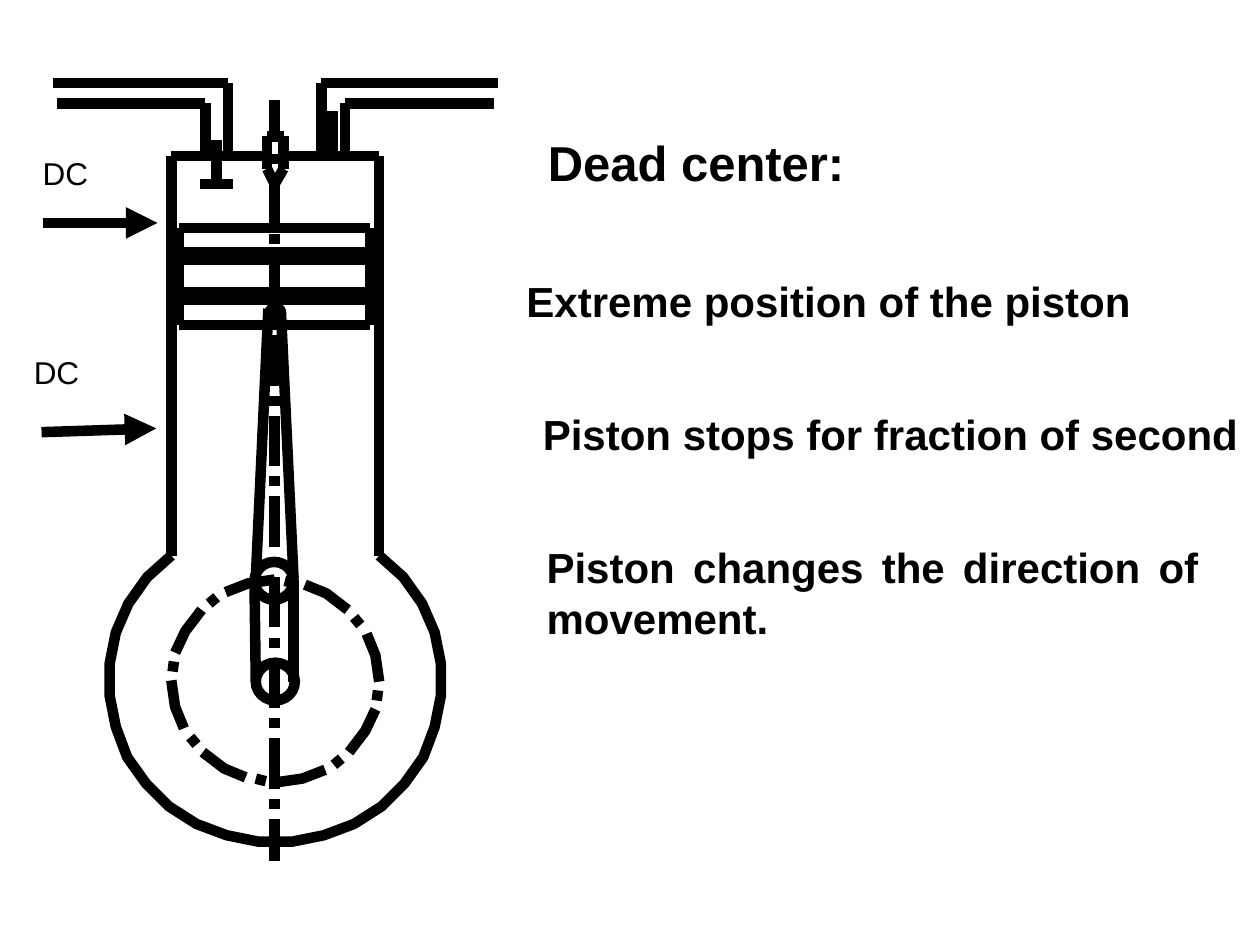
from dataclasses import dataclass
from itertools import pairwise

from lxml import etree
from pptx import Presentation
from pptx.dml.color import RGBColor
from pptx.enum import shapes, text
from pptx.oxml import ns
from pptx.util import Inches, Pt

BLACK = RGBColor(0x00, 0x00, 0x00)
STROKE = Pt(6)
AXIS_X = 2.185
CRANK_Y = 5.405
DASH_STEP = 0.64

Point = tuple[float, float]


@dataclass(frozen=True)
class Segment:
    x1: float
    y1: float
    x2: float
    y2: float
    arrow: bool = False


@dataclass(frozen=True)
class Circle:
    x: float
    y: float
    w: float
    h: float


@dataclass(frozen=True)
class Label:
    x: float
    y: float
    w: float
    h: float
    words: str
    size: int = 24
    bold: bool = True
    align: text.PP_ALIGN = text.PP_ALIGN.LEFT


CASE_LEFT = [
    (1.36, 4.41), (1.17, 4.58), (1.02, 4.79), (0.92, 5.02), (0.87, 5.27),
    (0.87, 5.52), (0.92, 5.77), (1.01, 6.01), (1.16, 6.22), (1.34, 6.4),
    (1.56, 6.54), (1.8, 6.63), (2.05, 6.68),
]
ORBIT_TOP = [
    [(3.01, 5.41), (2.98, 5.2), (2.91, 5.03)],
    [(2.86, 4.96), (2.81, 4.9)],
    [(2.76, 4.84), (2.59, 4.71), (2.42, 4.64)],
    [(2.34, 4.63), (2.26, 4.61)],
    [(2.18, 4.6), (1.97, 4.63), (1.79, 4.7)],
    [(1.72, 4.74), (1.66, 4.79)],
    [(1.6, 4.84), (1.47, 5.01), (1.39, 5.18)],
    [(1.38, 5.25), (1.37, 5.33)],
]
AXIS_DASHES = (
    [(6.83, 6.5), (1.13, 0.79)]
    + [(6.42 - i * DASH_STEP, 6.34 - i * DASH_STEP) for i in range(9)]
    + [(6.26 - i * DASH_STEP, 5.86 - i * DASH_STEP) for i in range(8)]
)
HEAD_RUNS = [(1.36, 1.63, 1.81, 2.12), (2.25, 2.55, 2.74, 3.01)]
PISTON_EDGES = [1.81, 2.58]
RING_EDGES = [2, 2.06, 2.32, 2.38]
SKIRT_SPANS = [(2, 1.81), (2.32, 2.06), (2.58, 2.38)]

ROD_AND_CRANK = [
    Segment(2.03, 4.59, 2.13, 2.45),
    Segment(2.33, 4.59, 2.23, 2.48),
    Segment(2.33, 5.41, 2.33, 4.6),
    Segment(2.03, 5.41, 2.02, 4.62),
]
PINS = [
    Circle(2.03, 5.26, 0.31, 0.3),
    Circle(2.02, 4.46, 0.31, 0.3),
    Circle(2.14, 2.44, 0.09, 0.08),
]
VALVES = [
    Segment(1.59, 1.46, 1.85, 1.46),
    Segment(1.72, 1.46, 1.72, 1.11),
    Segment(2.64, 1.24, 2.64, 0.88),
]
INJECTOR = [
    Segment(2.25, 1.34, 2.25, 1.08),
    Segment(2.12, 1.34, 2.12, 1.08),
    Segment(2.12, 1.34, 2.18, 1.46),
    Segment(2.18, 1.46, 2.25, 1.34),
    Segment(2.12, 1.08, 2.25, 1.08),
]
PORTS = [
    Segment(1.63, 1.24, 1.63, 0.82),
    Segment(1.63, 0.82, 0.45, 0.82),
    Segment(1.81, 1.24, 1.81, 0.66),
    Segment(1.81, 0.66, 0.42, 0.66),
    Segment(2.55, 0.66, 3.95, 0.66),
    Segment(2.74, 0.82, 3.92, 0.82),
    Segment(2.74, 1.24, 2.74, 0.82),
    Segment(2.55, 1.24, 2.55, 0.66),
]
ARROWS = [
    Segment(0.34, 1.77, 1.25, 1.77, arrow=True),
    Segment(0.33, 3.43, 1.24, 3.4, arrow=True),
]
LABELS = [
    Label(4.25, 1, 2.69, 0.57, "Dead center:", size=28),
    Label(4.08, 2.14, 5.88, 0.5, "Extreme position of the piston"),
    Label(4.21, 3.19, 5.79, 0.5, "Piston stops for fraction of second",
          align=text.PP_ALIGN.JUSTIFY),
    Label(4.24, 4.25, 5.37, 0.91, "Piston changes the direction of movement.",
          align=text.PP_ALIGN.JUSTIFY),
    Label(0.24, 1.17, 0.84, 0.63, "DC", size=18, bold=False),
    Label(0.17, 2.75, 0.84, 0.63, "DC", size=18, bold=False),
]


def style_line(sp) -> None:
    sp.line.color.rgb = BLACK
    sp.line.width = STROKE


def draw_segment(s, seg: Segment) -> None:
    ends = [Inches(v) for v in (seg.x1, seg.y1, seg.x2, seg.y2)]
    sp = s.shapes.add_connector(shapes.MSO_CONNECTOR.STRAIGHT, *ends)
    style_line(sp)
    if seg.arrow:
        tail = etree.SubElement(sp.line._get_or_add_ln(), ns.qn("a:tailEnd"))
        tail.set("type", "triangle")
    etree.SubElement(sp._element.spPr, ns.qn("a:effectLst"))


def draw_polyline(s, points: list[Point]) -> None:
    first, *rest = [(Inches(x), Inches(y)) for x, y in points]
    builder = s.shapes.build_freeform(*first)
    builder.add_line_segments(rest, close=False)
    sp = builder.convert_to_shape()
    sp.shadow.inherit = False
    sp.fill.background()
    style_line(sp)


def draw_circle(s, c: Circle) -> None:
    box = [Inches(v) for v in (c.x, c.y, c.w, c.h)]
    sp = s.shapes.add_shape(shapes.MSO_SHAPE.OVAL, *box)
    sp.shadow.inherit = False
    sp.fill.background()
    style_line(sp)


def draw_label(s, label: Label) -> None:
    box = [Inches(v) for v in (label.x, label.y, label.w, label.h)]
    tf = s.shapes.add_textbox(*box).text_frame
    tf.word_wrap = True
    p = tf.paragraphs[0]
    p.text = label.words
    p.alignment = label.align
    p.font.name = "Arial"
    p.font.size = Pt(label.size)
    p.font.bold = label.bold
    p.font.color.rgb = BLACK


def engine_segments() -> list[Segment]:
    axis = [Segment(2.18, a, 2.18, b) for a, b in AXIS_DASHES]
    walls = [Segment(x, 4.41, x, 1.24) for x in (1.36, 3.01)]
    head = [Segment(a, 1.24, b, 1.24) for run in HEAD_RUNS for a, b in pairwise(run)]
    piston = [Segment(1.42, y, 2.94, y) for y in PISTON_EDGES]
    rings = [Segment(1.36, y, 3.01, y) for y in RING_EDGES]
    skirt = [Segment(x, a, x, b) for x in (1.42, 2.94) for a, b in SKIRT_SPANS]
    return (axis + walls + ROD_AND_CRANK + head + piston + rings + skirt
            + VALVES + INJECTOR + PORTS)


def main() -> None:
    prs = Presentation()
    prs.slide_width, prs.slide_height = Inches(10), Inches(7.5)
    s = prs.slides.add_slide(prs.slide_layouts[6])

    case_right = [(2 * AXIS_X - x, y) for x, y in reversed(CASE_LEFT)]
    draw_polyline(s, CASE_LEFT + case_right)
    for arc in ORBIT_TOP:
        draw_polyline(s, arc)
        draw_polyline(s, [(2 * AXIS_X - x, 2 * CRANK_Y - y) for x, y in arc])
    for seg in engine_segments() + ARROWS:
        draw_segment(s, seg)
    for pin in PINS:
        draw_circle(s, pin)
    for label in LABELS:
        draw_label(s, label)

    prs.save("out.pptx")


if __name__ == "__main__":
    main()
